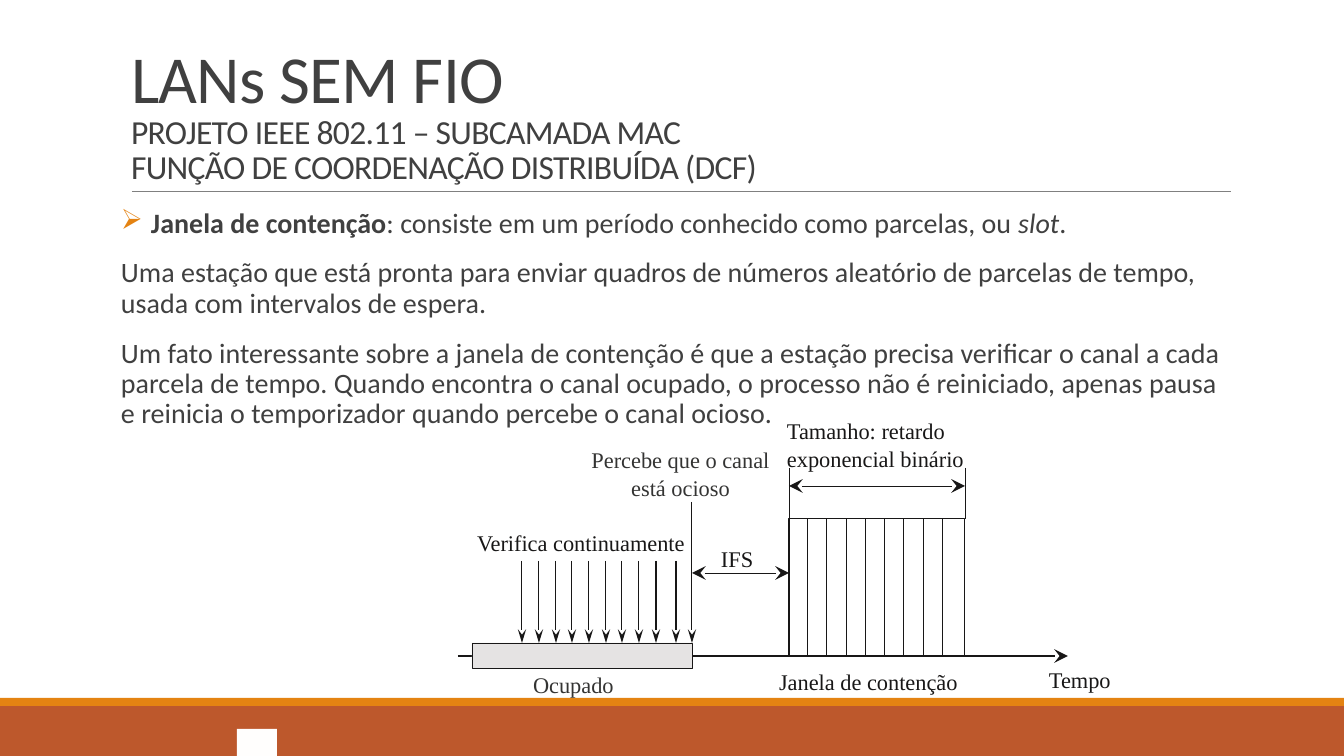
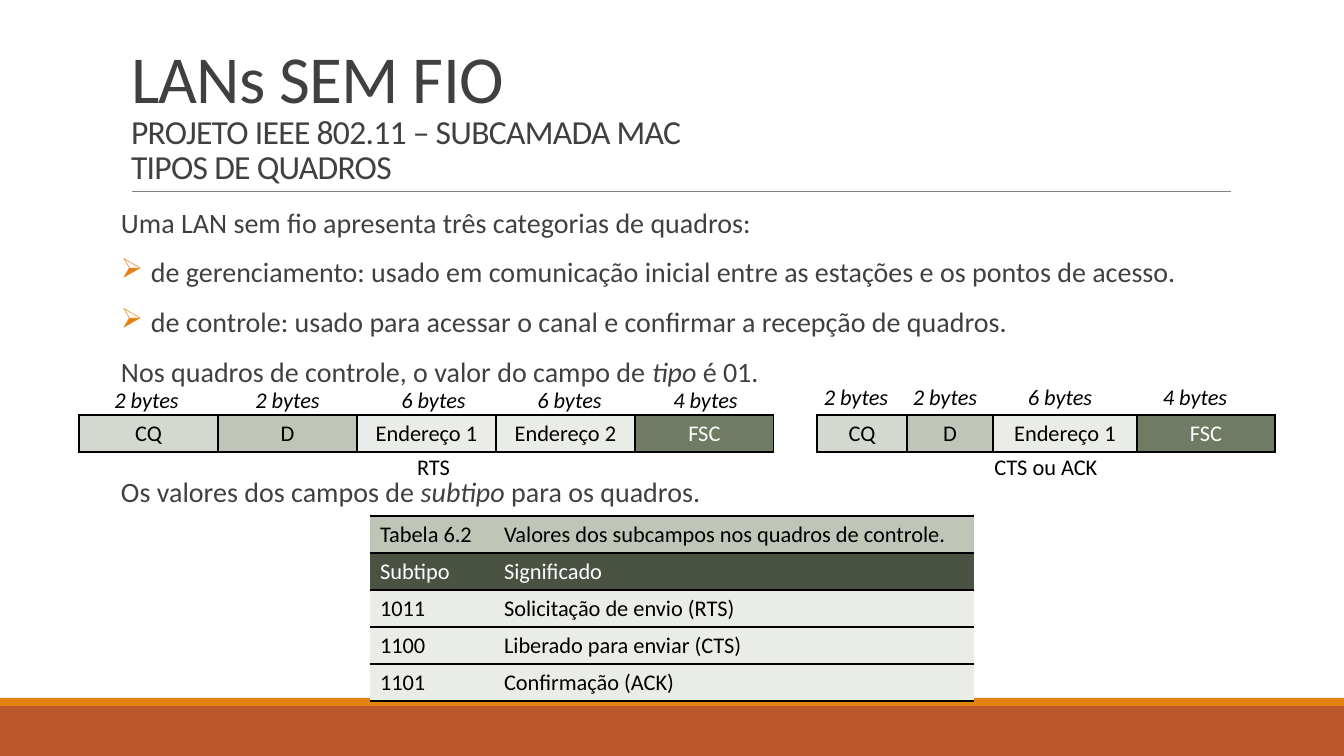
from itertools import accumulate

from lxml.etree import SubElement
from pptx import Presentation
from pptx.dml.color import RGBColor
from pptx.enum.shapes import MSO_CONNECTOR, MSO_SHAPE
from pptx.enum.text import MSO_ANCHOR, MSO_AUTO_SIZE, PP_ALIGN
from pptx.oxml.ns import qn
from pptx.util import Pt

EMU_PER_PX = 914400 / 100.8
PAGE_WIDTH, PAGE_HEIGHT = 1344, 756
SANS, SERIF = "Calibri", "Times New Roman"
COLORS = {
    "rust": "BD582C", "orange": "E48312", "rule": "808080", "text": "404040",
    "ink": "181717", "soft_ink": "343433", "busy": "E5E3E3", "patch": "FFFEFD",
    "black": "000000", "white": "FFFFFF", "control": "D4D9CF", "duration": "BFC6B8",
    "address": "EAECE7", "check": "6F7B63", "heading": "4A5242",
}


def px(length):
    return round(length * EMU_PER_PX)


def color(name):
    return RGBColor.from_string(COLORS[name])


def add_span(para, text, size, tint, font=SANS, bold=False, italic=False):
    span = para.add_run()
    span.text = text
    span.font.name = font
    span.font.size = Pt(size)
    span.font.bold = bold
    span.font.italic = italic
    span.font.color.rgb = color(tint)
    return span


def add_rectangle(page, left, top, width, height, fill=None, line=None, weight=0.75):
    box = page.shapes.add_shape(MSO_SHAPE.RECTANGLE, px(left), px(top), px(width), px(height))
    box.shadow.inherit = False
    if fill:
        box.fill.solid()
        box.fill.fore_color.rgb = color(fill)
    else:
        box.fill.background()
    if line:
        box.line.color.rgb = color(line)
        box.line.width = Pt(weight)
    else:
        box.line.fill.background()
    return box


def add_line(page, start, end, tint="ink", weight=0.75, heads=(), head_width="med"):
    """Draw a line; heads lists the ends with an arrow, "headEnd" (start) before "tailEnd"."""
    line = page.shapes.add_connector(MSO_CONNECTOR.STRAIGHT, *map(px, start + end))
    line.line.color.rgb = color(tint)
    line.line.width = Pt(weight)
    outline = line.line._get_or_add_ln()
    for head in heads:
        SubElement(outline, qn(f"a:{head}"), type="stealth", w=head_width, len="lg")
    SubElement(line._element.spPr, qn("a:effectLst"))
    return line


def add_text_box(page, left, top, width, height, side_inset=0, end_inset=0):
    frame = page.shapes.add_textbox(px(left), px(top), px(width), px(height)).text_frame
    frame.word_wrap = True
    frame.margin_left = frame.margin_right = px(side_inset)
    frame.margin_top = frame.margin_bottom = px(end_inset)
    return frame


def add_caption(page, center, top, width, text, italic=False):
    frame = add_text_box(page, center - width / 2, top, width, 37, end_inset=5)
    para = frame.paragraphs[0]
    para.alignment = PP_ALIGN.CENTER
    add_span(para, text, 16, "black", italic=italic)


def add_page(deck, topic):
    """Add a slide with the shared bands, rule and three-line title."""
    page = deck.slides.add_slide(deck.slide_layouts[5])
    add_rectangle(page, 0, 706, PAGE_WIDTH, 50, "rust")
    add_rectangle(page, 0, 698, PAGE_WIDTH, 8, "orange")
    add_line(page, (132, 191), (1231, 191), "rule", 0.5)

    title = page.shapes.title
    title.left, title.top, title.width, title.height = map(px, (121, 31, 1109, 160))
    frame = title.text_frame
    frame.auto_size = MSO_AUTO_SIZE.NONE
    frame.word_wrap = True
    frame.vertical_anchor = MSO_ANCHOR.BOTTOM
    para = frame.paragraphs[0]
    para.alignment = PP_ALIGN.LEFT
    para.line_spacing = 0.85
    lines = (("LANs SEM FIO", 48), ("PROJETO IEEE 802.11 – SUBCAMADA MAC", 24), (topic, 24))
    for index, (text, size) in enumerate(lines):
        if index:
            para.add_line_break()
        span = add_span(para, text, size, "text")
        span._r.get_or_add_rPr().set("spc", "-50")
    return page


def add_bullet(para):
    properties = para._p.get_or_add_pPr()
    properties.set("marL", str(px(30)))
    properties.set("indent", str(-px(30)))
    tint = SubElement(properties, qn("a:buClr"))
    SubElement(tint, qn("a:srgbClr"), val=COLORS["orange"])
    SubElement(properties, qn("a:buChar"), char="➢")


def add_body(page, height, paragraphs):
    """Each paragraph is (bulleted, space before, [(text, style), ...])."""
    frame = add_text_box(page, 121, 204, 1109, height, end_inset=5)
    for index, (bulleted, space_before, spans) in enumerate(paragraphs):
        para = frame.add_paragraph() if index else frame.paragraphs[0]
        para.line_spacing = 0.9
        para.space_before = Pt(space_before)
        para.space_after = Pt(2)
        if bulleted:
            add_bullet(para)
        for text, style in spans:
            add_span(para, text, 20, "text", bold=style == "bold", italic=style == "italic")


def add_diagram_label(page, left, top, width, text, tint="ink", align=PP_ALIGN.LEFT):
    para = add_text_box(page, left, top, width, 30).paragraphs[0]
    para.alignment = align
    para.line_spacing = 1.07
    add_span(para, text, 16, tint, SERIF)


def add_contention_diagram(page, left, top):
    """Draw the time line with its busy period, gap and contention window."""
    def at(x, y):
        return left + x, top + y

    both, end = ("headEnd", "tailEnd"), ("tailEnd",)
    axis, busy_top, busy_end = 241, 228, 234
    window_left, window_right, window_top = 331, 507, 104

    add_line(page, at(0, axis), at(610, axis), heads=end, head_width="lg")
    add_rectangle(page, *at(14, busy_top), busy_end - 14, 25, "busy", "ink", 0.5)

    checks = [64 + round(index * 134 / 8) for index in range(9)] + [218]
    for x in checks:
        add_line(page, at(x, 146), at(x, busy_top), heads=end)
    add_line(page, at(busy_end, 87), at(busy_end, busy_top), heads=end)

    add_rectangle(page, *at(window_left, window_top), window_right - window_left,
                  axis - window_top, line="ink")
    for index in range(8):
        x = 349 + round(index * 135 / 7)
        add_line(page, at(x, window_top), at(x, axis), weight=0.5)
    for x in (window_left, window_right):
        add_line(page, at(x, 53), at(x, window_top), weight=0.5)
    for start, stop, y in ((busy_end, window_left, 158), (window_left, window_right, 71)):
        add_line(page, at(start, y), at(stop, y), weight=0.5, heads=both, head_width="lg")

    add_diagram_label(page, *at(321, 251), 221, "Janela de contenção")
    add_diagram_label(page, *at(329, 0), 231, "Tamanho: retardo exponencial binário")
    add_diagram_label(page, *at(263, 128), 65, "IFS")
    add_diagram_label(page, *at(75, 254), 101, "Ocupado", "soft_ink")
    add_diagram_label(page, *at(128, 29), 189, "Percebe que o canal está ocioso",
                      "soft_ink", PP_ALIGN.CENTER)
    add_diagram_label(page, *at(19, 112), 228, "Verifica continuamente")
    add_diagram_label(page, *at(591, 249), 101, "Tempo")


def set_borders(cell, sides):
    properties = cell._tc.get_or_add_tcPr()
    for index, side in enumerate(("lnL", "lnR", "lnT", "lnB")):
        shown = side in sides
        border = properties.makeelement(qn(f"a:{side}"), {"w": str(Pt(1))})
        fill = SubElement(border, qn("a:solidFill" if shown else "a:noFill"))
        if shown:
            SubElement(fill, qn("a:srgbClr"), val=COLORS["black"])
        properties.insert(index, border)


def add_table(page, left, top, widths, rows, sides, align=PP_ALIGN.LEFT):
    """Each cell of rows is (text, fill)."""
    height = 37
    table = page.shapes.add_table(len(rows), len(widths), px(left), px(top),
                                  px(sum(widths)), px(height * len(rows))).table
    table.first_row = table.horz_banding = False
    for column, width in zip(table.columns, widths):
        column.width = px(width)
    for row, values in zip(table.rows, rows):
        row.height = px(height)
        for cell, (text, fill) in zip(row.cells, values):
            cell.fill.solid()
            cell.fill.fore_color.rgb = color(fill)
            set_borders(cell, sides)
            para = cell.text_frame.paragraphs[0]
            para.alignment = align
            add_span(para, text, 16, "white" if fill in ("check", "heading") else "black")


FIELDS = {
    "CQ": ("2 bytes", "control"), "D": ("2 bytes", "duration"),
    "Endereço 1": ("6 bytes", "address"), "Endereço 2": ("6 bytes", "address"),
    "FSC": ("4 bytes", "check"),
}


def add_frame_format(page, left, top, names, widths, shifts, size_rise, caption, caption_shift):
    """Draw a frame as a row of fields; shifts move the byte counts off the field centres."""
    cells = [(name, FIELDS[name][1]) for name in names]
    add_table(page, left, top, widths, [cells], ("lnL", "lnR", "lnT", "lnB"), PP_ALIGN.CENTER)
    for name, width, right, shift in zip(names, widths, accumulate(widths), shifts):
        center = left + right - width / 2 + shift
        add_caption(page, center, top - size_rise, 86, FIELDS[name][0], italic=True)
    total = sum(widths)
    add_caption(page, left + total / 2 + caption_shift, top + 33, total, caption)


def add_contention_page(deck):
    page = add_page(deck, "FUNÇÃO DE COORDENAÇÃO DISTRIBUÍDA (DCF)")
    add_body(page, 444, [
        (True, 12, [("Janela de contenção", "bold"),
                    (": consiste em um período conhecido como parcelas, ou ", ""),
                    ("slot", "italic"), (".", "")]),
        (False, 12, [("Uma estação que está pronta para enviar quadros de números aleatório "
                      "de parcelas de tempo, usada com intervalos de espera.", "")]),
        (False, 12, [("Um fato interessante sobre a janela de contenção é que a estação precisa "
                      "verificar o canal a cada parcela de tempo. Quando encontra o canal ocupado, "
                      "o processo não é reiniciado, apenas pausa e reinicia o temporizador quando "
                      "percebe o canal ocioso.", "")]),
    ])
    add_contention_diagram(page, 458, 415)
    add_rectangle(page, 237, 729, 40, 27, "patch")


def add_frame_types_page(deck):
    page = add_page(deck, "TIPOS DE QUADROS")
    add_body(page, 496, [
        (False, 12, [("Uma LAN sem fio apresenta três categorias de quadros:", "")]),
        (True, 12, [("de gerenciamento: usado em comunicação inicial entre as estações "
                     "e os pontos de acesso.", "")]),
        (True, 12, [("de controle: usado para acessar o canal e confirmar a recepção "
                     "de quadros.", "")]),
        (False, 12, [("Nos quadros de controle, o valor do campo de ", ""),
                     ("tipo", "italic"), (" é 01.", "")]),
        (False, 62, [("Os valores dos campos de ", ""), ("subtipo", "italic"),
                     (" para os quadros.", "")]),
    ])
    add_frame_format(page, 79, 415, list(FIELDS), [139] * 5,
                     (-2, 0, 7, 4, 1), 34, "RTS", 7)
    add_frame_format(page, 817, 415, ["CQ", "D", "Endereço 1", "FSC"], [90, 86, 144, 138],
                     (-6, -5, -5, -11), 37, "CTS ou ACK", 0)
    subtypes = [
        ("Tabela 6.2", "Valores dos subcampos nos quadros de controle.", "duration"),
        ("Subtipo", "Significado", "heading"),
        ("1011", "Solicitação de envio (RTS)", "address"),
        ("1100", "Liberado para enviar (CTS)", "address"),
        ("1101", "Confirmação (ACK)", "address"),
    ]
    rows = [[(code, fill), (meaning, fill)] for code, meaning, fill in subtypes]
    add_table(page, 370, 516, [124, 480], rows, ("lnT", "lnB"))


def main():
    deck = Presentation()
    deck.slide_width, deck.slide_height = px(PAGE_WIDTH), px(PAGE_HEIGHT)
    add_contention_page(deck)
    add_frame_types_page(deck)
    deck.save("out.pptx")


if __name__ == "__main__":
    main()
